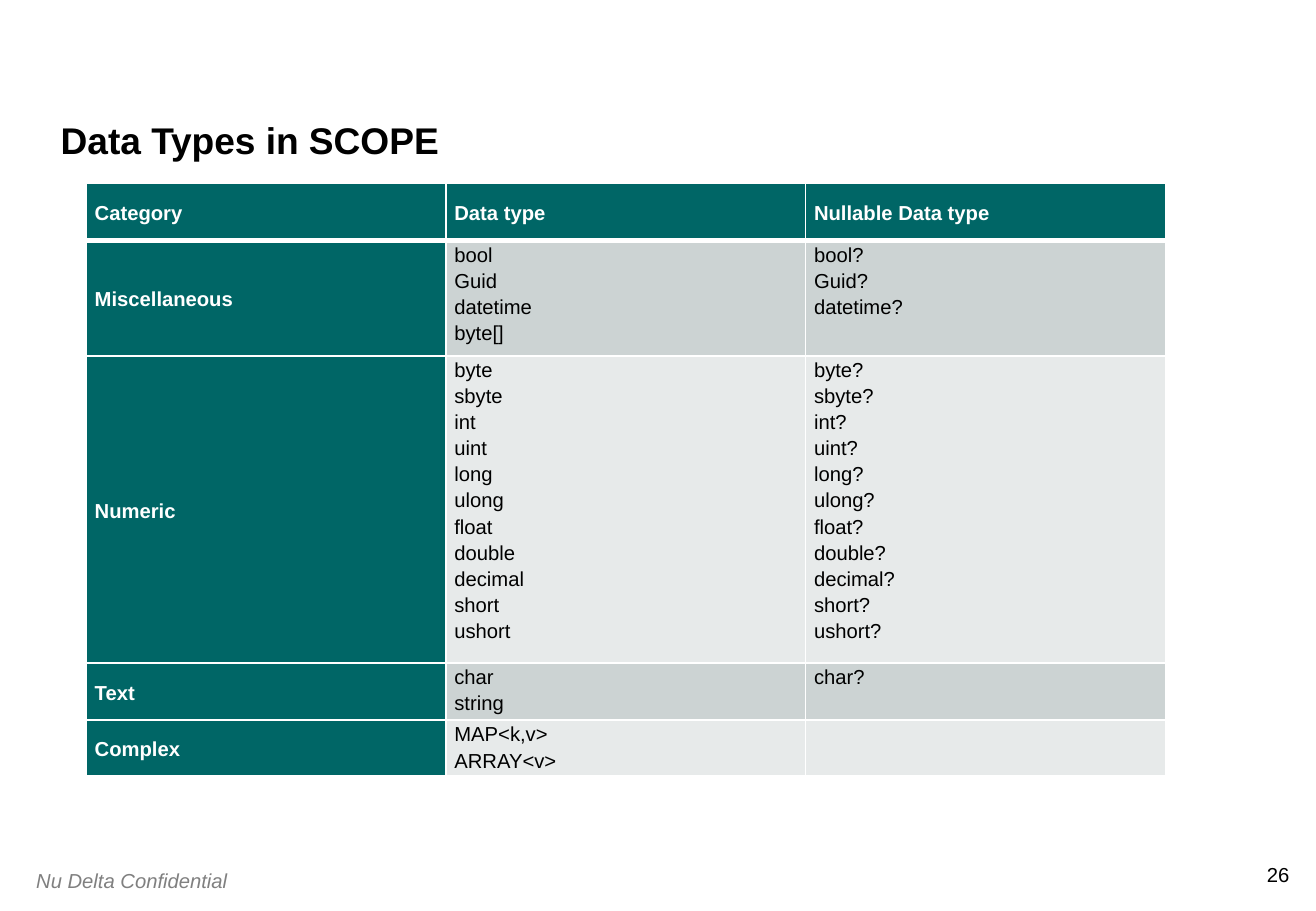
from dataclasses import dataclass

from lxml import etree
from pptx import Presentation
from pptx import util as u
from pptx.dml import color
from pptx.enum import text as t
from pptx.oxml import ns

EMU_PER_PX = 9144  # 100 px to the inch
FONT = "Arial"
COLORS = {
    "teal": "006666",
    "dark_band": "CCD3D3",
    "light_band": "E7EAEA",
    "white": "FFFFFF",
    "black": "000000",
    "gray": "808080",
}


@dataclass(frozen=True)
class Label:
    text: str
    left: int
    top: int
    width: int
    height: int
    inset: tuple[int, int] = (0, 0)
    anchor: t.MSO_ANCHOR = t.MSO_ANCHOR.TOP
    size: int = 12
    color: str = "black"
    bold: bool = False
    italic: bool = False
    align: t.PP_ALIGN = t.PP_ALIGN.LEFT
    spacing: float = 1.0


@dataclass(frozen=True)
class TypeGroup:
    category: str
    height: int
    types: tuple[str, ...]
    nullable: tuple[str, ...]


LABELS = (
    Label("26", 1040, 710, 21, 20, align=t.PP_ALIGN.RIGHT),
    Label("Nu Delta Confidential", 20, 710, 200, 30, inset=(10, 5),
          color="gray", italic=True),
    Label("Data Types in SCOPE", 50, 42, 983, 92, size=22, bold=True,
          anchor=t.MSO_ANCHOR.BOTTOM, spacing=0.9),
)

HEADINGS = ("Category", "Data type", "Nullable Data type")
HEADING_HEIGHT = 47
TABLE_LEFT, TABLE_TOP, COLUMN_WIDTH = 71, 151, 296
CELL_INSET = 7

MISC = ("bool", "Guid", "datetime")
NUMERIC = ("byte", "sbyte", "int", "uint", "long", "ulong", "float",
           "double", "decimal", "short", "ushort")
GROUPS = (
    TypeGroup("Miscellaneous", 95, MISC + ("byte[]",), MISC),
    TypeGroup("Numeric", 236, NUMERIC, NUMERIC),
    TypeGroup("Text", 47, ("char", "string"), ("char",)),
    TypeGroup("Complex", 43, ("MAP<k,v>", "ARRAY<v>"), ()),
)


def px(length: int) -> u.Emu:
    return u.Emu(length * EMU_PER_PX)


def rgb(name: str) -> color.RGBColor:
    return color.RGBColor.from_string(COLORS[name])


def write_text(frame, content: str, *, size: int = 12, ink: str = "black",
               bold: bool = False, italic: bool = False,
               align: t.PP_ALIGN = t.PP_ALIGN.LEFT, spacing: float = 1.0) -> None:
    """Write one paragraph for each line of content."""
    for index, line in enumerate(content.split("\n")):
        para = frame.paragraphs[0] if index == 0 else frame.add_paragraph()
        para.alignment = align
        para.line_spacing = spacing
        span = para.add_run()
        span.text = line
        span.font.name = FONT
        span.font.size = u.Pt(size)
        span.font.bold = bold
        span.font.italic = italic
        span.font.color.rgb = rgb(ink)


def add_label(page, label: Label) -> None:
    box = page.shapes.add_textbox(px(label.left), px(label.top),
                                  px(label.width), px(label.height))
    frame = box.text_frame
    frame.word_wrap = True
    frame.vertical_anchor = label.anchor
    frame.margin_left = frame.margin_right = px(label.inset[0])
    frame.margin_top = frame.margin_bottom = px(label.inset[1])
    write_text(frame, label.text, size=label.size, ink=label.color,
               bold=label.bold, italic=label.italic, align=label.align,
               spacing=label.spacing)


def set_borders(cell, top: int, bottom: int) -> None:
    """Draw white borders, with top and bottom widths in points."""
    properties = cell._tc.get_or_add_tcPr()
    for side, width in (("L", 1), ("R", 1), ("T", top), ("B", bottom)):
        line = etree.SubElement(properties, ns.qn(f"a:ln{side}"), w=str(u.Pt(width)))
        fill = etree.SubElement(line, ns.qn("a:solidFill"))
        etree.SubElement(fill, ns.qn("a:srgbClr"), val=COLORS["white"])


def fill_cell(cell, content: str, fill: str, *, strong: bool,
              top: int, bottom: int) -> None:
    set_borders(cell, top, bottom)
    cell.fill.solid()
    cell.fill.fore_color.rgb = rgb(fill)
    cell.margin_left = cell.margin_right = px(CELL_INSET)
    cell.margin_top = cell.margin_bottom = 0
    cell.vertical_anchor = t.MSO_ANCHOR.MIDDLE if strong else t.MSO_ANCHOR.TOP
    write_text(cell.text_frame, content, ink="white" if strong else "black",
               bold=strong, spacing=1.15)


def add_type_table(page) -> None:
    heights = [HEADING_HEIGHT] + [group.height for group in GROUPS]
    rows = [HEADINGS] + [
        (group.category, "\n".join(group.types),
         "\n".join(f"{name}?" for name in group.nullable))
        for group in GROUPS
    ]
    table = page.shapes.add_table(
        len(rows), len(HEADINGS), px(TABLE_LEFT), px(TABLE_TOP),
        px(COLUMN_WIDTH * len(HEADINGS)), px(sum(heights))).table
    table.horz_banding = False
    for column in table.columns:
        column.width = px(COLUMN_WIDTH)
    for row, (contents, height) in enumerate(zip(rows, heights)):
        table.rows[row].height = px(height)
        band = "dark_band" if row % 2 else "light_band"
        for column, content in enumerate(contents):
            strong = row == 0 or column == 0
            fill_cell(table.cell(row, column), content,
                      "teal" if strong else band, strong=strong,
                      top=3 if row == 1 else 1, bottom=3 if row == 0 else 1)


def main() -> None:
    deck = Presentation()
    deck.slide_width, deck.slide_height = px(1083), px(750)
    page = deck.slides.add_slide(deck.slide_layouts[6])

    # Page number, footer and title
    for label in LABELS:
        add_label(page, label)

    # Data types by category
    add_type_table(page)

    deck.save("out.pptx")


if __name__ == "__main__":
    main()
